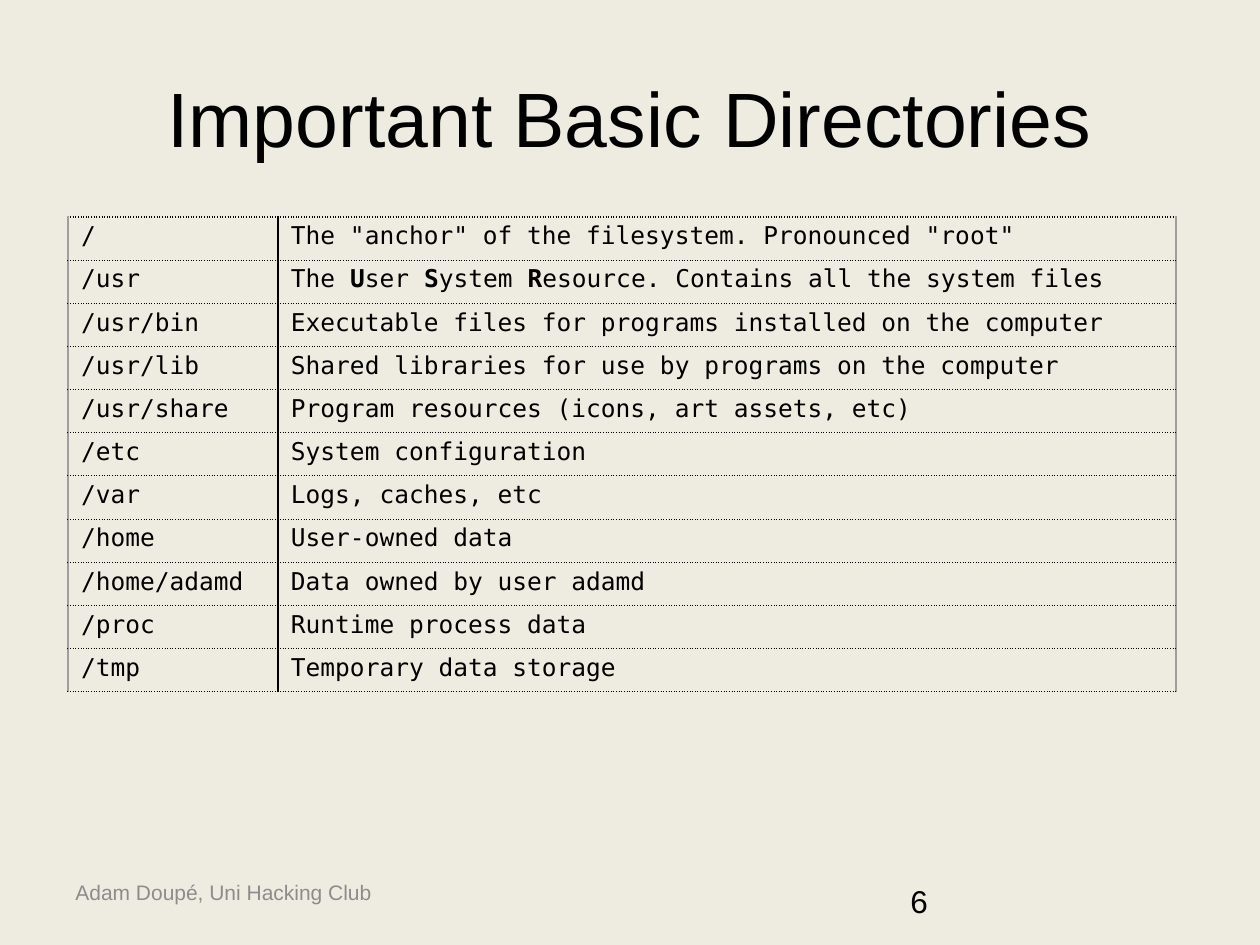
from dataclasses import dataclass

from lxml import etree
from pptx import Presentation
from pptx import util as u
from pptx.dml.color import RGBColor
from pptx.enum import text
from pptx.oxml import ns

PX_PER_INCH = 126
BACKGROUND = RGBColor(0xEE, 0xEC, 0xE1)
BLACK = RGBColor(0, 0, 0)
EDGE_GREY = RGBColor(0x9E, 0x9E, 0x9E)
FOOTER_GREY = RGBColor(0x8C, 0x8C, 0x8C)
SANS = "Arial"
MONO = "DejaVu Sans Mono"


@dataclass(frozen=True)
class Directory:
    location: str
    purpose: str


@dataclass(frozen=True)
class Label:
    words: str
    box: tuple[int, int, int, int]
    top_inset: int
    size: int
    color: RGBColor


@dataclass(frozen=True)
class Border:
    tag: str
    color: RGBColor
    dash: str


DIRECTORIES = [
    Directory("/", 'The "anchor" of the filesystem. Pronounced "root"'),
    Directory("/usr", "The *U*ser *S*ystem *R*esource. Contains all the system files"),
    Directory("/usr/bin", "Executable files for programs installed on the computer"),
    Directory("/usr/lib", "Shared libraries for use by programs on the computer"),
    Directory("/usr/share", "Program resources (icons, art assets, etc)"),
    Directory("/etc", "System configuration"),
    Directory("/var", "Logs, caches, etc"),
    Directory("/home", "User-owned data"),
    Directory("/home/adamd", "Data owned by user adamd"),
    Directory("/proc", "Runtime process data"),
    Directory("/tmp", "Temporary data storage"),
]
LABELS = [
    Label("Adam Doupé, Uni Hacking Club", (63, 878, 537, 50), 2, 12, FOOTER_GREY),
    Label("6", (898, 876, 294, 50), 6, 18, BLACK),
]
TABLE_BOX = (68, 217, 1108, 475)
COLUMN_WIDTHS = (210, 898)


def px(length: float) -> u.Emu:
    return u.Emu(round(length * 914400 / PX_PER_INCH))


def add_run(p, words: str, font: str, size: int, color: RGBColor, bold: bool = False) -> None:
    r = p.add_run()
    r.text = words
    r.font.name = font
    r.font.size = u.Pt(size)
    r.font.bold = bold
    r.font.color.rgb = color


def add_marked_runs(p, marked: str) -> None:
    for i, words in enumerate(marked.split("*")):
        add_run(p, words, MONO, 14, BLACK, bold=i % 2 == 1)


def add_label(s, label: Label) -> None:
    sp = s.shapes.add_textbox(*map(px, label.box))
    tf = sp.text_frame
    tf.word_wrap = True
    tf.margin_top = px(label.top_inset)
    add_run(tf.paragraphs[0], label.words, SANS, label.size, label.color)


def set_border(cell, border: Border) -> None:
    line = etree.SubElement(cell._tc.get_or_add_tcPr(), ns.qn(f"a:{border.tag}"), w=str(u.Pt(0.75)))
    fill = etree.SubElement(line, ns.qn("a:solidFill"))
    etree.SubElement(fill, ns.qn("a:srgbClr"), val=str(border.color))
    etree.SubElement(line, ns.qn("a:prstDash"), val=border.dash)


def format_cell(cell, marked: str, left: RGBColor, right: RGBColor) -> None:
    cell.margin_left = cell.margin_right = px(13)
    cell.margin_top = cell.margin_bottom = px(5)
    add_marked_runs(cell.text_frame.paragraphs[0], marked)
    for border in (
        Border("lnL", left, "solid"),
        Border("lnR", right, "solid"),
        Border("lnT", BLACK, "dot"),
        Border("lnB", BLACK, "dot"),
    ):
        set_border(cell, border)
    cell.fill.background()


def add_directory_table(s) -> None:
    frame = s.shapes.add_table(len(DIRECTORIES), len(COLUMN_WIDTHS), *map(px, TABLE_BOX))
    table = frame.table
    table.first_row = False
    table.horz_banding = False
    for column, width in zip(table.columns, COLUMN_WIDTHS):
        column.width = px(width)
    for row, directory in zip(table.rows, DIRECTORIES):
        row.height = px(TABLE_BOX[3] / len(DIRECTORIES))
        format_cell(row.cells[0], directory.location, EDGE_GREY, BLACK)
        format_cell(row.cells[1], directory.purpose, BLACK, EDGE_GREY)


def add_title(s, words: str) -> None:
    sp = s.shapes.title
    sp.left, sp.top, sp.width, sp.height = map(px, (63, 38, 1134, 157))
    tf = sp.text_frame
    tf.vertical_anchor = text.MSO_ANCHOR.MIDDLE
    p = tf.paragraphs[0]
    p.alignment = text.PP_ALIGN.CENTER
    add_run(p, words, SANS, 44, BLACK)


def main() -> None:
    prs = Presentation()
    prs.slide_width, prs.slide_height = px(1260), px(945)
    s = prs.slides.add_slide(prs.slide_layouts[5])
    s.background.fill.solid()
    s.background.fill.fore_color.rgb = BACKGROUND
    add_title(s, "Important Basic Directories")
    add_directory_table(s)
    for label in LABELS:
        add_label(s, label)
    prs.save("out.pptx")


main()
